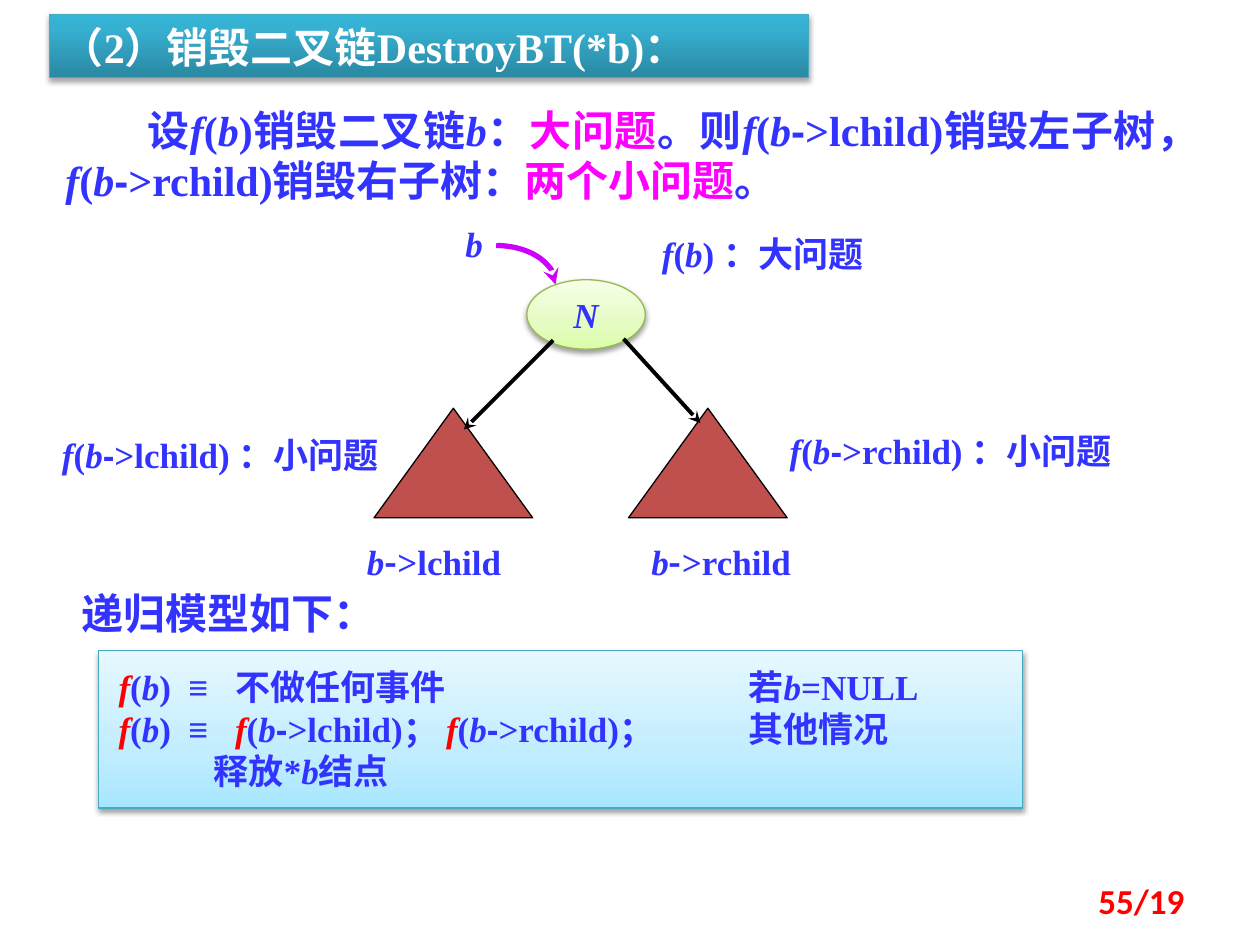
from itertools import groupby

from lxml import etree
from pptx import Presentation
from pptx.dml.color import RGBColor
from pptx.enum.shapes import MSO_CONNECTOR, MSO_SHAPE
from pptx.enum.text import MSO_ANCHOR, PP_ALIGN
from pptx.oxml.ns import qn
from pptx.util import Cm, Pt

LEFT, CENTER, RIGHT, JUSTIFY = PP_ALIGN.LEFT, PP_ALIGN.CENTER, PP_ALIGN.RIGHT, PP_ALIGN.JUSTIFY
TOP, MIDDLE = MSO_ANCHOR.TOP, MSO_ANCHOR.MIDDLE
BLUE = RGBColor(0x33, 0x33, 0xFF)
RED = RGBColor(0xFF, 0x00, 0x00)
PINK = RGBColor(0xFF, 0x00, 0xFF)
PURPLE = RGBColor(0xCC, 0x00, 0xFF)
BRICK = RGBColor(0xC0, 0x50, 0x4D)
BLACK = RGBColor(0x00, 0x00, 0x00)
WHITE = RGBColor(0xFF, 0xFF, 0xFF)
TEAL_EDGE = RGBColor(0x46, 0xAA, 0xC5)
GREEN_EDGE = RGBColor(0x98, 0xB9, 0x55)
TEAL_STOPS = [(0, "2A88A2"), (80, "37B1D2"), (100, "34B4D6")]
GREEN_STOPS = [(0, "DAFDA7"), (35, "E4FCC2"), (100, "F5FFE7")]
SKY_STOPS = [(0, "A7E6FF"), (35, "C1EDFF"), (100, "E7F8FF")]
SERIF, CJK = "Times New Roman", "Noto Sans CJK SC"

# Content: _ toggles italics, | toggles the highlight colour
TITLE = "（2）销毁二叉链DestroyBT(*b)："
INTRO = ("设_f_(_b_)销毁二叉链_b_：|大问题|。则_f_(_b_->lchild)销毁左子树，"
         "_ f_(_b_->rchild)销毁右子树：|两个小问题|。")
MODEL_HEADING = "递归模型如下："
MODEL = [
    "_|f|_(_b_)  ≡\t不做任何事件\t若_b_=NULL",
    "_|f|_(_b_)  ≡\t_|f|_(_b_->lchild)； _|f|_(_b_->rchild)；\t其他情况",
    "释放*_b_结点",
]
MODEL_TABS = (2.35, 12.7)
PAGE_NUMBER = "55/19"

# Tree labels: text, box in cm, alignment, hyphen font
LABELS = [
    ("_b_", (8.56, 4.37, 2, 1.12), CENTER, "Arial"),
    ("_b_->lchild", (6.35, 10.77, 4.8, 1.12), CENTER, CJK),
    ("_b_->rchild", (12.14, 10.77, 4.8, 1.12), CENTER, CJK),
    ("_f_(_b_) ：大问题", (11.91, 4.57, 6.93, 1.12), CENTER, "Arial"),
    ("_f_(_b_->lchild) ：小问题", (1, 8.61, 7.54, 1.12), LEFT, "Arial"),
    ("_f_(_b_->rchild) ：小问题", (15.67, 8.53, 7.75, 1.12), LEFT, "Arial"),
]
SUBTREE_LEFTS = (7.54, 12.67)
BRANCHES = [(11.15, 6.86, 9.35, 8.66), (12.57, 6.83, 14.12, 8.53)]


def cm(values):
    return [Cm(value) for value in values]


def add_runs(paragraph, markup, highlight, hyphen_font):
    italic = marked = False
    styled = []
    for char in markup:
        if char == "_":
            italic = not italic
        elif char == "|":
            marked = not marked
        else:
            styled.append((char, (italic, marked, char == "-")))
    for (slanted, lit, hyphen), group in groupby(styled, key=lambda item: item[1]):
        run = paragraph.add_run()
        run.text = "".join(char for char, _ in group)
        if slanted:
            run.font.italic = True
        if lit:
            run.font.color.rgb = highlight
        if hyphen:
            run.font.name = hyphen_font


def write(shape, lines, size=20, color=BLUE, align=LEFT, anchor=TOP, font=SERIF,
          highlight=RED, hyphen_font="Arial", wrap=True):
    frame = shape.text_frame
    frame.word_wrap = wrap
    frame.vertical_anchor = anchor
    for index, line in enumerate(lines):
        paragraph = frame.paragraphs[0] if index == 0 else frame.add_paragraph()
        paragraph.alignment = align
        paragraph.font.size = Pt(size)
        paragraph.font.bold = True
        paragraph.font.color.rgb = color
        paragraph.font.name = font
        defaults = paragraph._p.pPr.find(qn("a:defRPr"))
        etree.SubElement(defaults, qn("a:ea"), typeface=CJK)
        add_runs(paragraph, line, highlight, hyphen_font)
    return frame.paragraphs


def add_text(slide, box, lines, **style):
    return write(slide.shapes.add_textbox(*cm(box)), lines, **style)


def indent_first_line(paragraph, width):
    paragraph._p.get_or_add_pPr().set("indent", str(Cm(width)))


def set_tabs(paragraph, stops):
    tabs = etree.Element(qn("a:tabLst"))
    for stop in stops:
        etree.SubElement(tabs, qn("a:tab"), pos=str(Cm(stop)), algn="l")
    paragraph._p.get_or_add_pPr().insert(0, tabs)


def add_shape(slide, kind, box, edge, width=0.75):
    shape = slide.shapes.add_shape(kind, *cm(box))
    shape.shadow.inherit = False
    shape.line.color.rgb = edge
    shape.line.width = Pt(width)
    return shape


def add_glossy_shape(slide, kind, box, edge, stops, shadow_alpha=38):
    shape = add_shape(slide, kind, box, edge)
    shape.fill.gradient()
    shape.fill.gradient_angle = 90
    properties = shape._element.spPr
    stop_list = properties.find(qn("a:gradFill")).find(qn("a:gsLst"))
    for old_stop in list(stop_list):
        stop_list.remove(old_stop)
    for position, color in stops:
        stop = etree.SubElement(stop_list, qn("a:gs"), pos=str(position * 1000))
        etree.SubElement(stop, qn("a:srgbClr"), val=color)
    shadow = etree.SubElement(
        properties.find(qn("a:effectLst")), qn("a:outerShdw"), blurRad=str(Pt(3.1)),
        dist=str(Pt(1.7)), dir="5400000", rotWithShape="0")
    shade = etree.SubElement(shadow, qn("a:srgbClr"), val="000000")
    etree.SubElement(shade, qn("a:alpha"), val=str(shadow_alpha * 1000))
    return shape


def add_arrowhead(shape):
    line = shape._element.spPr.find(qn("a:ln"))
    etree.SubElement(line, qn("a:tailEnd"), type="stealth")


def add_branch(slide, ends):
    branch = slide.shapes.add_connector(MSO_CONNECTOR.STRAIGHT, *cm(ends))
    branch.line.color.rgb = BLACK
    branch.line.width = Pt(2.25)
    add_arrowhead(branch)
    etree.SubElement(branch._element.spPr, qn("a:effectLst"))


def main():
    presentation = Presentation()
    presentation.slide_width, presentation.slide_height = Cm(25.4), Cm(19.05)
    slide = presentation.slides.add_slide(presentation.slide_layouts[6])

    # Introduction and title bar
    intro = add_text(slide, (1.07, 1.98, 23.34, 2.31), [INTRO], size=24,
                     align=JUSTIFY, highlight=PINK)
    indent_first_line(intro[0], 1.65)
    title = add_glossy_shape(slide, MSO_SHAPE.RECTANGLE, (1, 0.3, 15.3, 1.27),
                             TEAL_EDGE, TEAL_STOPS, 35)
    write(title, [TITLE], size=24, color=WHITE)

    # Tree: root node, pointer, subtrees and branches
    root = add_glossy_shape(slide, MSO_SHAPE.OVAL, (10.62, 5.64, 2.39, 1.4),
                            GREEN_EDGE, GREEN_STOPS)
    write(root, ["_N_"], align=CENTER, anchor=MIDDLE, wrap=False)
    pointer = add_shape(slide, MSO_SHAPE.ARC, (8.81, 4.95, 2.39, 1.57), PURPLE, 3)
    pointer.fill.background()
    add_arrowhead(pointer)
    for left in SUBTREE_LEFTS:
        subtree = add_shape(slide, MSO_SHAPE.ISOSCELES_TRIANGLE, (left, 8.23, 3.2, 2.21), BLACK)
        subtree.fill.solid()
        subtree.fill.fore_color.rgb = BRICK
    for ends in BRANCHES:
        add_branch(slide, ends)
    for text, box, align, hyphen_font in LABELS:
        add_text(slide, box, [text], align=align, hyphen_font=hyphen_font)

    # Recursive model
    add_text(slide, (1.4, 11.71, 10.11, 1.27), [MODEL_HEADING], size=24)
    model = add_glossy_shape(slide, MSO_SHAPE.RECTANGLE, (1.98, 13.11, 18.64, 3.18),
                             TEAL_EDGE, SKY_STOPS)
    frame = model.text_frame
    frame.margin_left = frame.margin_right = Cm(0.41)
    frame.margin_top = frame.margin_bottom = Cm(0.3)
    *cases, release = write(model, MODEL)
    for case in cases:
        set_tabs(case, MODEL_TABS)
    indent_first_line(release, 1.92)

    # Page number
    add_text(slide, (18.21, 17.65, 5.92, 1.02), [PAGE_NUMBER], color=RED,
             align=RIGHT, anchor=MIDDLE, font="Calibri")

    presentation.save("out.pptx")


if __name__ == "__main__":
    main()
